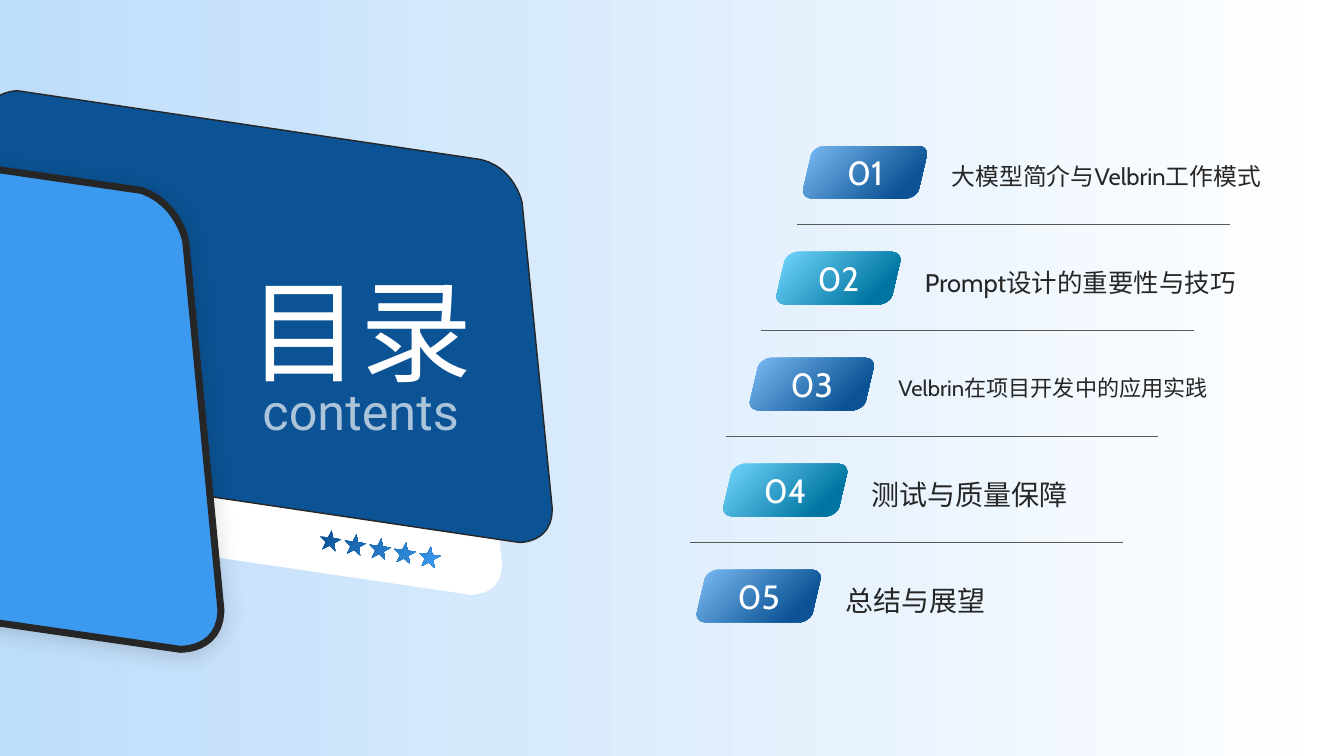
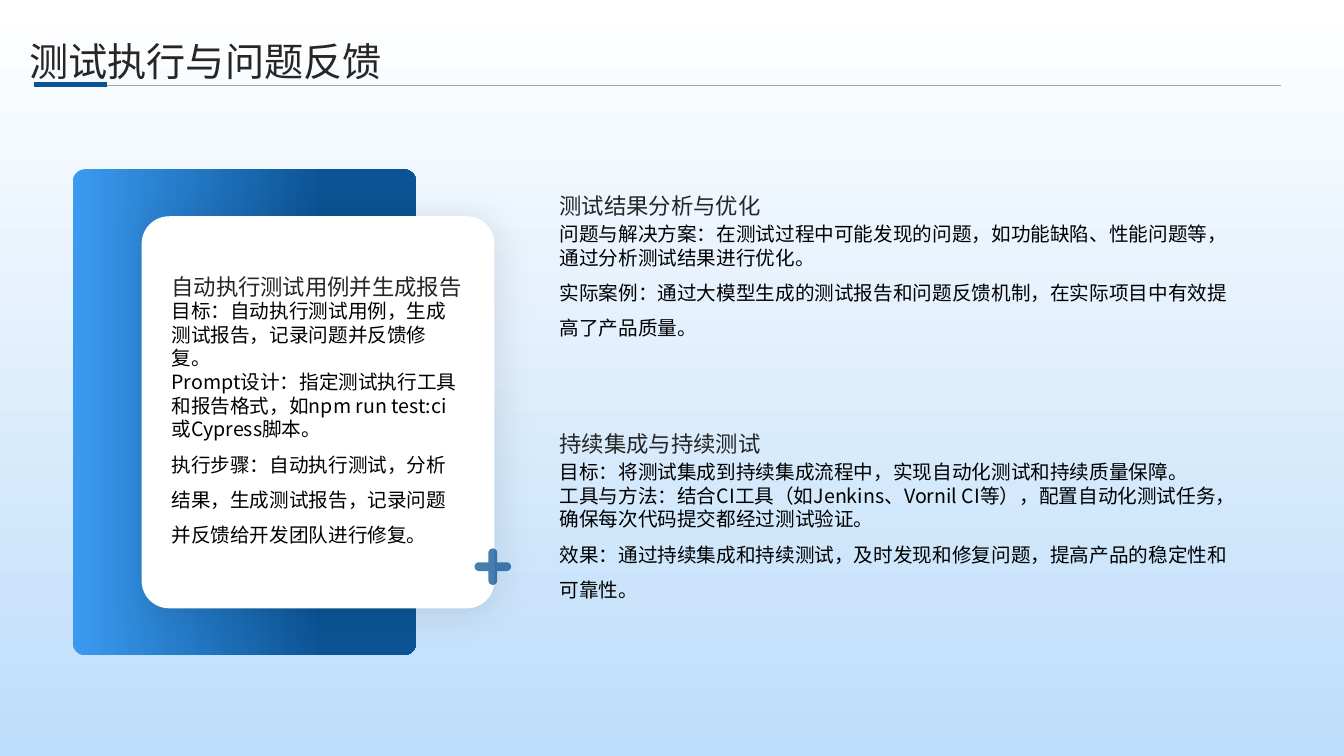
from dataclasses import dataclass
from math import cos, pi, radians, sin

from lxml.etree import SubElement
from pptx import Presentation
from pptx.dml.color import RGBColor
from pptx.enum.shapes import MSO_CONNECTOR, MSO_SHAPE
from pptx.enum.text import MSO_ANCHOR, MSO_AUTO_SIZE, PP_ALIGN
from pptx.oxml.ns import qn
from pptx.util import Cm, Pt


@dataclass(frozen=True)
class Theme:
    navy: str = "0B5394"
    blue: str = "3B9AF0"
    pale: str = "BEDDFA"
    sky: str = "7CBCF5"
    cyan: str = "74D8FF"
    teal: str = "0075A2"
    ink: str = "262626"
    black: str = "000000"
    white: str = "FFFFFF"
    rule: str = "595959"
    hairline: str = "A6A6A6"
    display_font: str = "Cabin"
    latin_font: str = "Roboto"
    text_font: str = "Noto Sans CJK SC"
    cover_size: float = 80
    subtitle_size: float = 36
    title_size: float = 28
    number_size: float = 24
    heading_size: float = 16
    body_size: float = 14
    body_line: float = 16.85
    wide_line: float = 25.25


@dataclass(frozen=True)
class Box:
    left: float
    top: float
    width: float
    height: float

    def lengths(self):
        return Cm(self.left), Cm(self.top), Cm(self.width), Cm(self.height)


THEME = Theme()

AGENDA = [
    ("大模型简介与Velbrin工作模式", 17),
    ("Prompt设计的重要性与技巧", 18.2),
    ("Velbrin在项目开发中的应用实践", 15.8),
    ("测试与质量保障", 20),
    ("总结与展望", 20),
]

CARD_HEADING = "自动执行测试用例并生成报告"
CARD_BODY = [
    "目标：自动执行测试用例，生成测试报告，记录问题并反馈修复。",
    "Prompt设计：指定测试执行工具和报告格式，如npm run test:ci或Cypress脚本。",
    "执行步骤：自动执行测试，分析结果，生成测试报告，记录问题并反馈给开发团队进行修复。",
]

SECTIONS = [
    ("测试结果分析与优化", [
        "问题与解决方案：在测试过程中可能发现的问题，如功能缺陷、性能问题等，通过分析测试结果进行优化。",
        "实际案例：通过大模型生成的测试报告和问题反馈机制，在实际项目中有效提高了产品质量。",
    ]),
    ("持续集成与持续测试", [
        "目标：将测试集成到持续集成流程中，实现自动化测试和持续质量保障。",
        "工具与方法：结合CI工具（如Jenkins、Vornil CI等），配置自动化测试任务，确保每次代码提交都经过测试验证。",
        "效果：通过持续集成和持续测试，及时发现和修复问题，提高产品的稳定性和可靠性。",
    ]),
]


def set_alpha(element, percent):
    color = next(element.iter(qn("a:srgbClr")))
    SubElement(color, qn("a:alpha"), val=str(percent * 1000))


def set_gradient(fill, start, end, angle=0, end_position=1.0):
    fill.gradient()
    fill.gradient_angle = -angle % 360
    for stop, color, position in zip(fill.gradient_stops, (start, end), (0, end_position)):
        stop.color.rgb = RGBColor.from_string(color)
        stop.position = position


def style_shape(shape, color=None, line=None, line_width=1):
    shape.shadow.inherit = False
    if color:
        shape.fill.solid()
        shape.fill.fore_color.rgb = RGBColor.from_string(color)
    if line:
        shape.line.color.rgb = RGBColor.from_string(line)
        shape.line.width = Pt(line_width)
    else:
        shape.line.fill.background()
    return shape


def add_shadow(shape, alpha, blur, distance, angle):
    effects = shape._element.spPr.find(qn("a:effectLst"))
    shadow = SubElement(effects, qn("a:outerShdw"), blurRad=str(Pt(blur)),
                        dist=str(Pt(distance)), dir=str(angle * 60000),
                        algn="ctr", rotWithShape="0")
    SubElement(shadow, qn("a:srgbClr"), val=THEME.black)
    set_alpha(shadow, alpha)


def write_text(shape, texts, size, color, font=THEME.text_font, align=PP_ALIGN.LEFT,
               anchor=MSO_ANCHOR.MIDDLE, line_points=None, alpha=None):
    frame = shape.text_frame
    frame.word_wrap = True
    frame.auto_size = MSO_AUTO_SIZE.NONE
    frame.vertical_anchor = anchor
    frame.margin_left = frame.margin_right = frame.margin_top = frame.margin_bottom = 0
    texts = [texts] if isinstance(texts, str) else texts
    for index, text in enumerate(texts):
        paragraph = frame.paragraphs[0] if index == 0 else frame.add_paragraph()
        paragraph.alignment = align
        paragraph.space_before = paragraph.space_after = Pt(0)
        paragraph.line_spacing = Pt(line_points[index]) if line_points else 1.0
        properties = paragraph._p.get_or_add_pPr()
        for name in ("marL", "indent", "hangingPunct"):
            properties.set(name, "0")
        SubElement(properties, qn("a:buNone"))
        run = paragraph.add_run()
        run.text = text
        run.font.name = font
        run.font.size = Pt(size)
        run.font.bold = False
        run.font.color.rgb = RGBColor.from_string(color)
        if alpha:
            set_alpha(run._r, alpha)
        latin = run._r.rPr.find(qn("a:latin"))
        east_asian = latin.makeelement(qn("a:ea"), {"typeface": THEME.text_font})
        latin.addnext(east_asian)


def add_text(slide, box, texts, **style):
    shape = slide.shapes.add_textbox(*box.lengths())
    write_text(shape, texts, **style)


def fill_placeholder(shape, box, texts, **style):
    shape.left, shape.top, shape.width, shape.height = box.lengths()
    write_text(shape, texts, **style)


def write_body(place, target, box, texts):
    lines = [THEME.body_line] * (len(texts) - 1) + [THEME.wide_line]
    place(target, box, texts, size=THEME.body_size, color=THEME.black,
          anchor=MSO_ANCHOR.TOP, line_points=lines)


def add_rule(slide, left, top, width, color, weight):
    line = slide.shapes.add_connector(MSO_CONNECTOR.STRAIGHT, Cm(left), Cm(top),
                                      Cm(left + width), Cm(top))
    line.line.color.rgb = RGBColor.from_string(color)
    line.line.width = Pt(weight)
    SubElement(line._element.spPr, qn("a:effectLst"))


def add_outline(slide, contours):
    contours = [[(Cm(x), Cm(y)) for x, y in contour] for contour in contours]
    builder = slide.shapes.build_freeform(*contours[0][0], scale=1.0)
    for index, contour in enumerate(contours):
        if index:
            builder.move_to(*contour[0])
        builder.add_line_segments(contour[1:], close=True)
    return builder.convert_to_shape()


def curve(start, control, end, steps=12):
    for step in range(steps + 1):
        t = step / steps
        weights = (1 - t) ** 3, 3 * t * (1 - t) ** 2, 3 * t * t * (1 - t) + t ** 3
        yield tuple(sum(w * p for w, p in zip(weights, axis))
                    for axis in zip(start, control, end))


def add_slanted_panel(slide, box, top_left, top_right):
    half = [point for corner in (top_left, top_right) for point in curve(*corner)]
    opposite = [(box.width - x, box.height - y) for x, y in half]
    return add_outline(slide, [[(box.left + x, box.top + y) for x, y in half + opposite]])


def add_stars(slide, left, top):
    radius, tilt = 0.28, radians(8)
    contours = []
    for index in range(5):
        center_x, center_y = left + 0.625 * index, top + 0.105 * index
        contour = []
        for point in range(10):
            reach = radius * (0.4 if point % 2 else 1)
            angle = tilt + point * pi / 5
            contour.append((center_x + reach * sin(angle), center_y - reach * cos(angle)))
        contours.append(contour)
    stars = style_shape(add_outline(slide, contours))
    set_gradient(stars.fill, THEME.navy, THEME.blue, angle=45)


def add_plus(slide, center_x, center_y):
    reach, half = 0.46, 0.11
    points = []
    for quarter in range(4):
        turn = quarter * pi / 2
        arm = [(reach - half + half * cos(a), half * sin(a))
               for a in (pi * (step / 8 - 0.5) for step in range(9))]
        points += [(center_x + x * cos(turn) - y * sin(turn),
                    center_y + x * sin(turn) + y * cos(turn))
                   for x, y in arm + [(half, half)]]
    plus = style_shape(add_outline(slide, [points]), THEME.navy)
    set_alpha(plus._element.spPr, 75)


def add_cover_panels(slide):
    white = add_slanted_panel(slide, Box(-0.48, 4.55, 13.13, 10.44),
                              ((0, 0.76), (0, -0.03), (0.79, 0)),
                              ((11.46, 1.57), (12.24, 1.78), (12.42, 2.59)))
    style_shape(white, THEME.white)
    navy = add_slanted_panel(slide, Box(-0.38, 2.29, 14.3, 11.38),
                             ((0, 0.84), (0, -0.03), (0.84, 0)),
                             ((12.5, 1.73), (13.36, 1.93), (13.54, 2.82)))
    style_shape(navy, THEME.navy, THEME.ink, 1)
    front = add_slanted_panel(slide, Box(-4.29, 3.81, 9.86, 12.55),
                              ((0, 0.97), (0.03, -0.05), (1.04, 0)),
                              ((7.87, 0.99), (8.79, 1.32), (8.97, 2.26)))
    style_shape(front, THEME.blue, THEME.ink, 5)
    add_shadow(front, alpha=15, blur=15, distance=3, angle=90)
    add_stars(slide, 8.32, 13.64)


def add_agenda_row(slide, box, number, label, size):
    tag = style_shape(add_slanted_panel(slide, box,
                                        ((0.2, 0.23), (0.28, 0.03), (0.51, 0)),
                                        ((2.92, 0), (3.15, 0.03), (3.12, 0.23))))
    colors = (THEME.sky, THEME.navy) if number % 2 else (THEME.cyan, THEME.teal)
    set_gradient(tag.fill, *colors, angle=45, end_position=0.81)
    write_text(tag, f"{number:02}", size=THEME.number_size, color=THEME.white,
               font=THEME.display_font, align=PP_ALIGN.CENTER)
    add_text(slide, Box(box.left + 3.74, box.top + 0.1, 8.8, box.height), label,
             size=size, color=THEME.ink, font=THEME.display_font)


def build_contents(presentation):
    slide = presentation.slides.add_slide(presentation.slide_layouts[5])
    set_gradient(slide.background.fill, THEME.pale, THEME.white)
    add_cover_panels(slide)
    title = slide.shapes.title
    fill_placeholder(title, Box(4.62, 6.4, 8.94, 3.76), "目录", size=THEME.cover_size,
                     color=THEME.white, font=THEME.display_font, align=PP_ALIGN.CENTER)
    slide.shapes._spTree.append(title._element)
    add_text(slide, Box(4.62, 9.58, 8.94, 1.7), "contents", size=THEME.subtitle_size,
             color=THEME.white, font=THEME.latin_font, align=PP_ALIGN.CENTER,
             anchor=MSO_ANCHOR.TOP, alpha=65)
    pitch = 2.67
    for index, (label, size) in enumerate(AGENDA):
        row = Box(20.24 - 0.67 * index, 3.68 + pitch * index, 3.12, 1.32)
        add_agenda_row(slide, row, index + 1, label, size)
        if index < len(AGENDA) - 1:
            add_rule(slide, 20.09 - 0.9 * index, 5.66 + pitch * index, 10.9, THEME.rule, 0.5)


def add_header(slide, box, text):
    fill_placeholder(slide.shapes.title, box, text, size=THEME.title_size, color=THEME.ink)
    left, top = box.left + 0.12, box.top + box.height
    add_rule(slide, left, top, 31.42, THEME.hairline, 0.5)
    add_rule(slide, left, top, 1.83, THEME.navy, 3.5)


def add_card(slide, box):
    backing = slide.shapes.add_shape(MSO_SHAPE.ROUNDED_RECTANGLE,
                                     *Box(box.left - 1.74, box.top - 1.18, 8.66, 12.24).lengths())
    backing.adjustments[0] = 0.036
    set_gradient(style_shape(backing).fill, THEME.blue, THEME.navy, end_position=0.73)
    card = slide.shapes.add_shape(MSO_SHAPE.ROUNDED_RECTANGLE, *box.lengths())
    card.adjustments[0] = 0.078
    style_shape(card, THEME.white)
    add_shadow(card, alpha=10, blur=28, distance=3, angle=45)
    add_text(slide, Box(box.left + 0.75, box.top + 1.36, 7.7, 0.8), CARD_HEADING,
             size=THEME.heading_size, color=THEME.ink)
    write_body(add_text, slide, Box(box.left + 0.75, box.top + 2.09, 7.39, 6.71), CARD_BODY)
    add_plus(slide, box.left + 8.85, box.top + 8.83)


def add_section(heading_shape, body_shape, box, heading, texts):
    fill_placeholder(heading_shape, Box(box.left, box.top, box.width, 0.76), heading,
                     size=THEME.heading_size, color=THEME.ink)
    write_body(fill_placeholder, body_shape,
               Box(box.left, box.top + 0.79, box.width, box.height - 0.79), texts)


def build_feedback(presentation):
    slide = presentation.slides.add_slide(presentation.slide_layouts[4])
    set_gradient(slide.background.fill, THEME.white, THEME.pale, angle=90)
    add_header(slide, Box(0.74, 0.94, 31.27, 1.2), "测试执行与问题反馈")
    add_card(slide, Box(3.57, 5.45, 8.89, 9.88))
    for index, (heading, texts) in enumerate(SECTIONS):
        first = 1 + 2 * index
        add_section(slide.placeholders[first], slide.placeholders[first + 1],
                    Box(14.1, 4.8 + 6 * index, 17.15, 5.3), heading, texts)


def main():
    presentation = Presentation()
    presentation.slide_width = Cm(33.87)
    presentation.slide_height = Cm(19.05)
    build_contents(presentation)
    build_feedback(presentation)
    presentation.save("out.pptx")


if __name__ == "__main__":
    main()
